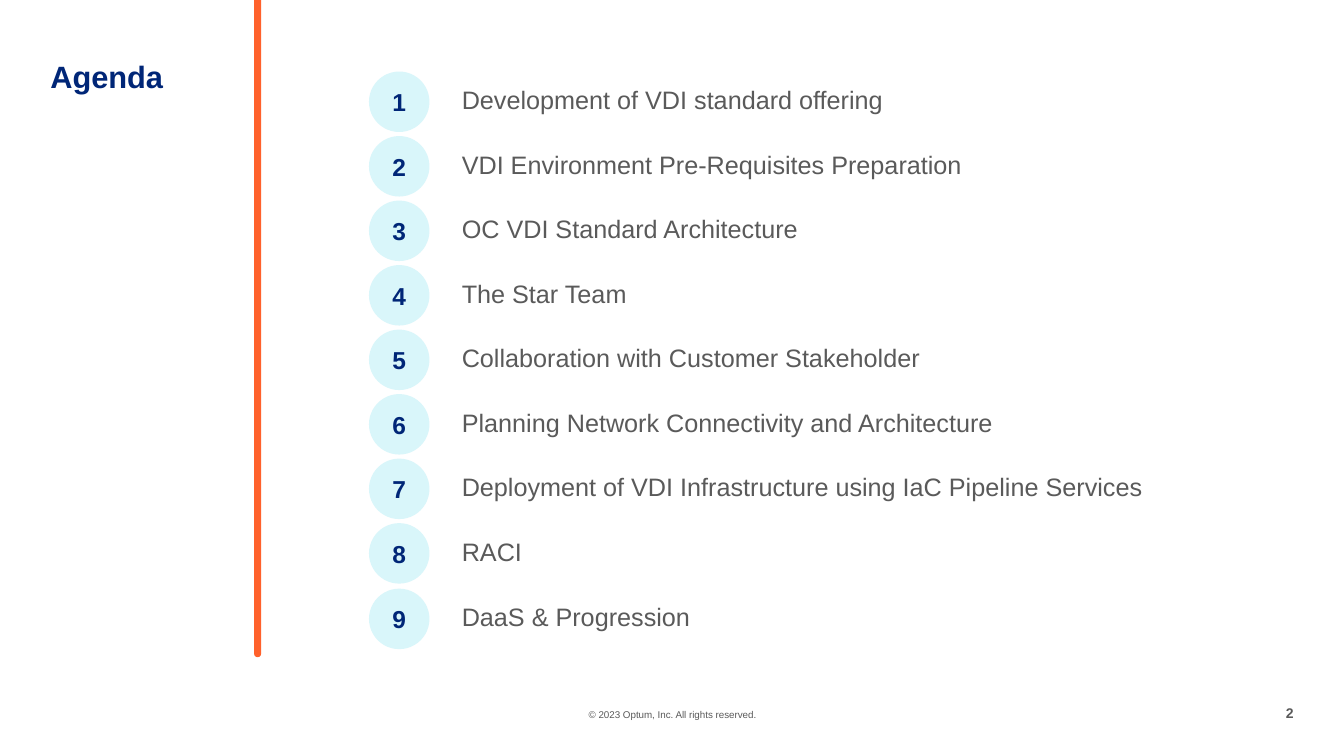
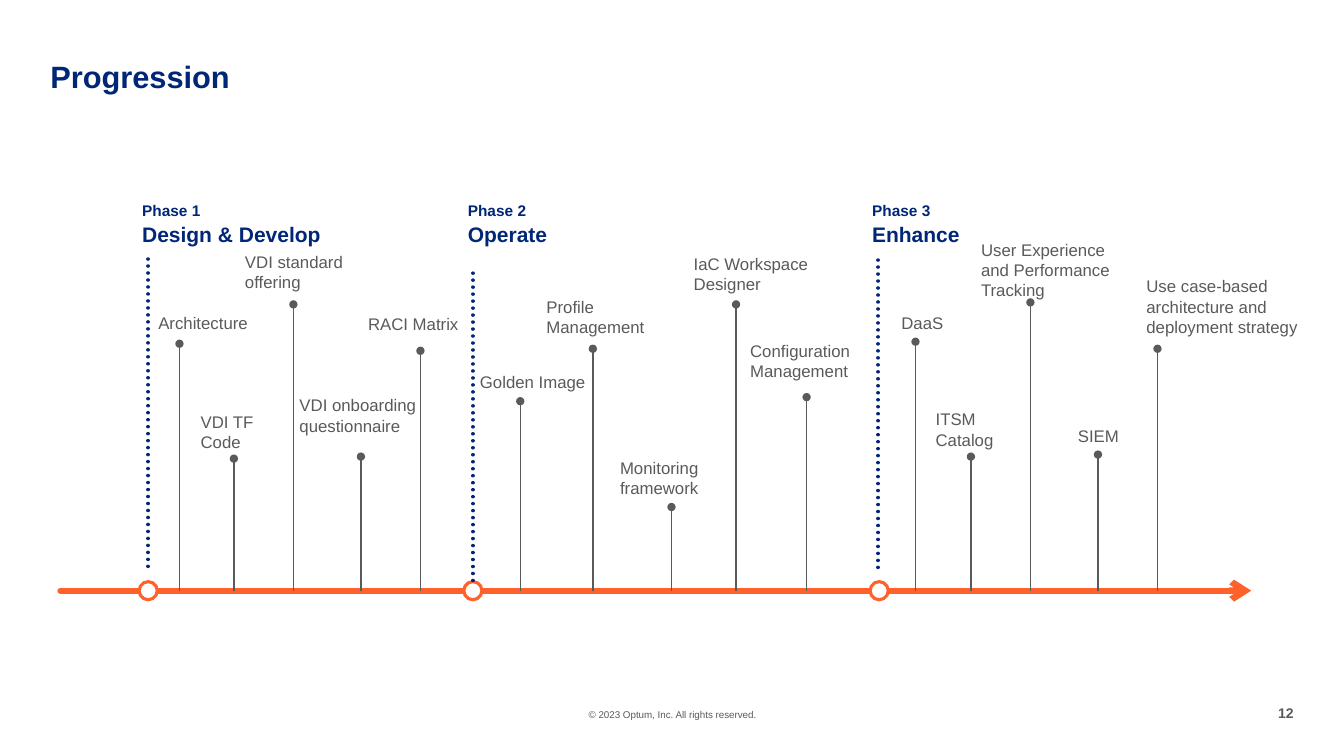
import pptx
import pptx.dml.color
import pptx.enum.dml
import pptx.enum.shapes
import pptx.enum.text
import pptx.oxml.xmlchemy
import pptx.util

SHAPE = pptx.enum.shapes.MSO_SHAPE
ALIGN = pptx.enum.text.PP_ALIGN
ANCHOR = pptx.enum.text.MSO_ANCHOR
AUTO_SIZE = pptx.enum.text.MSO_AUTO_SIZE

EMU_PER_PX = 9144  # 100 px to the inch
NAVY, GREY, ORANGE, PALE_BLUE, WHITE = "002677", "5A5A5A", "FF612B", "D9F6FA", "FFFFFF"
FONT = "Arial"
TITLE_BOX = (50, 61, 1050, 33)
COPYRIGHT = "© 2023 Optum, Inc. All rights reserved."

AGENDA = [
    "Development of VDI standard offering",
    "VDI Environment Pre-Requisites Preparation",
    "OC VDI Standard Architecture",
    "The Star Team",
    "Collaboration with Customer Stakeholder",
    "Planning Network Connectivity and Architecture",
    "Deployment of VDI Infrastructure using IaC Pipeline Services",
    "RACI",
    "DaaS & Progression",
]
FIRST_ROW, LAST_ROW = 71, 584

AXIS_Y = 586
MARKER = 18
# number, name, text left, marker left, dotted line x, top, bottom
PHASES = [
    (1, "Design & Develop", 141, 138, 147, 257, 563),
    (2, "Operate", 464, 460, 469, 271, 577),
    (3, "Enhance", 865, 863, 871, 258, 565),
]
# label, stem x, stem top, label left, label top, label width, label lines
MILESTONES = [
    ("Architecture", 178, 341, 157, 310, 124, 1),
    ("VDI TF Code", 232, 455, 199, 408, 90, 2),
    ("VDI standard offering", 291, 302, 243, 250, 152, 2),
    ("VDI onboarding questionnaire", 358, 453, 297, 392, 152, 2),
    ("RACI Matrix", 417, 348, 365, 311, 152, 1),
    ("Golden Image", 516, 398, 476, 369, 152, 1),
    ("Profile Management", 588, 346, 542, 294, 117, 2),
    ("Monitoring framework", 666, 503, 615, 454, 107, 2),
    ("IaC Workspace Designer", 730, 302, 688, 252, 145, 2),
    ("Configuration Management", 800, 394, 744, 338, 122, 2),
    ("DaaS", 908, 339, 894, 310, 124, 1),
    ("ITSM Catalog", 963, 453, 928, 406, 90, 2),
    ("User Experience and Performance Tracking", 1022, 300, 973, 238, 152, 3),
    ("SIEM", 1089, 451, 1069, 422, 69, 1),
    ("Use case-based architecture and deployment strategy", 1148, 346, 1137, 274, 152, 3),
]


def px(length):
    return pptx.util.Emu(length * EMU_PER_PX)


def box(*lengths):
    return [px(length) for length in lengths]


def rgb(color):
    return pptx.dml.color.RGBColor.from_string(color)


def write(shape, text, size=12, color=GREY, bold=False, align=ALIGN.LEFT,
          anchor=ANCHOR.TOP, spacing=None, grow=True):
    frame = shape.text_frame
    frame.margin_left = frame.margin_top = frame.margin_right = frame.margin_bottom = 0
    frame.word_wrap = True
    frame.auto_size = AUTO_SIZE.SHAPE_TO_FIT_TEXT if grow else AUTO_SIZE.NONE
    frame.vertical_anchor = anchor
    paragraph = frame.paragraphs[0]
    paragraph.alignment = align
    paragraph.line_spacing = spacing
    run = paragraph.add_run()
    run.text = text
    run.font.name = FONT
    run.font.size = pptx.util.Pt(size)
    run.font.bold = bold
    run.font.color.rgb = rgb(color)


def add_text(slide, bounds, text, **text_format):
    write(slide.shapes.add_textbox(*box(*bounds)), text, **text_format)


def add_shape(slide, preset, bounds, fill, outline=None, width=1):
    shape = slide.shapes.add_shape(preset, *box(*bounds))
    shape.shadow.inherit = False
    shape.fill.solid()
    shape.fill.fore_color.rgb = rgb(fill)
    if outline:
        shape.line.color.rgb = rgb(outline)
        shape.line.width = pptx.util.Pt(width)
    else:
        shape.line.fill.background()
    return shape


def add_line(slide, ends, color, width, dash=None, cap=None, tail=None):
    """Draw a straight line; tail is the arrowhead at its far end."""
    line = slide.shapes.add_connector(
        pptx.enum.shapes.MSO_CONNECTOR.STRAIGHT, *box(*ends))
    line.line.color.rgb = rgb(color)
    line.line.width = pptx.util.Pt(width)
    if dash:
        line.line.dash_style = dash
    properties = line._element.spPr
    if cap:
        properties.ln.set("cap", cap)
    if tail:
        head = pptx.oxml.xmlchemy.OxmlElement("a:tailEnd")
        head.set("type", tail)
        properties.ln.append(head)
    properties.append(pptx.oxml.xmlchemy.OxmlElement("a:effectLst"))
    return line


def add_slide(prs, title, number):
    """Add a slide with the shared title style and footer."""
    slide = prs.slides.add_slide(prs.slide_layouts[5])
    heading = slide.shapes.title
    heading.left, heading.top, heading.width, heading.height = box(*TITLE_BOX)
    write(heading, title, size=22, color=NAVY, bold=True, spacing=0.9)
    add_text(slide, (514, 703, 306, 12), COPYRIGHT, size=7, align=ALIGN.CENTER)
    add_text(slide, (1233, 699, 50, 17), str(number), size=10, bold=True,
             align=ALIGN.RIGHT)
    return slide


def add_agenda_row(slide, number, topic, top):
    badge = add_shape(slide, SHAPE.OVAL, (366, top, 60, 60), PALE_BLUE)
    write(badge, str(number), size=17.5, color=NAVY, bold=True,
          align=ALIGN.CENTER, anchor=ANCHOR.MIDDLE, grow=False)
    add_text(slide, (458, top + 13, 728, 30), topic, size=18)


def add_phase(slide, number, name, left, marker_left, line_x, top, bottom):
    marker_top = AXIS_Y - MARKER // 2
    marker = add_shape(slide, SHAPE.OVAL, (marker_left, marker_top, MARKER, MARKER),
                       WHITE, outline=ORANGE, width=2.25)
    divider = add_line(slide, (line_x, top, line_x, bottom), NAVY, 2.5, cap="rnd",
                       dash=pptx.enum.dml.MSO_LINE.ROUND_DOT)
    if bottom == marker_top:
        divider.end_connect(marker, 0)
    add_text(slide, (left, 199, 257, 19), f"Phase {number}", size=11, color=NAVY, bold=True)
    add_text(slide, (left, 220, 257, 25), name, size=15, color=NAVY, bold=True)


def add_milestone(slide, label, stem_x, stem_top, left, top, width, lines):
    add_line(slide, (stem_x, AXIS_Y, stem_x, stem_top), GREY, 1, tail="oval")
    add_text(slide, (left, top, width, 20 * lines), label)


def build_agenda(prs):
    slide = add_slide(prs, "Agenda", 2)
    divider = add_shape(slide, SHAPE.ROUND_2_SAME_RECTANGLE, (252, 0, 7, 652), ORANGE)
    divider.adjustments[0] = 0
    divider.adjustments[1] = 0.5
    for index, topic in enumerate(AGENDA):
        top = FIRST_ROW + (LAST_ROW - FIRST_ROW) * index // (len(AGENDA) - 1)
        add_agenda_row(slide, index + 1, topic, top)


def build_progression(prs):
    slide = add_slide(prs, "Progression", 12)
    add_line(slide, (60, AXIS_Y, 1241, AXIS_Y), ORANGE, 4.5, cap="rnd", tail="arrow")
    for phase in PHASES:
        add_phase(slide, *phase)
    for milestone in MILESTONES:
        add_milestone(slide, *milestone)


def main():
    prs = pptx.Presentation()
    prs.slide_width, prs.slide_height = box(1333, 750)
    build_agenda(prs)
    build_progression(prs)
    prs.save("out.pptx")


if __name__ == "__main__":
    main()
